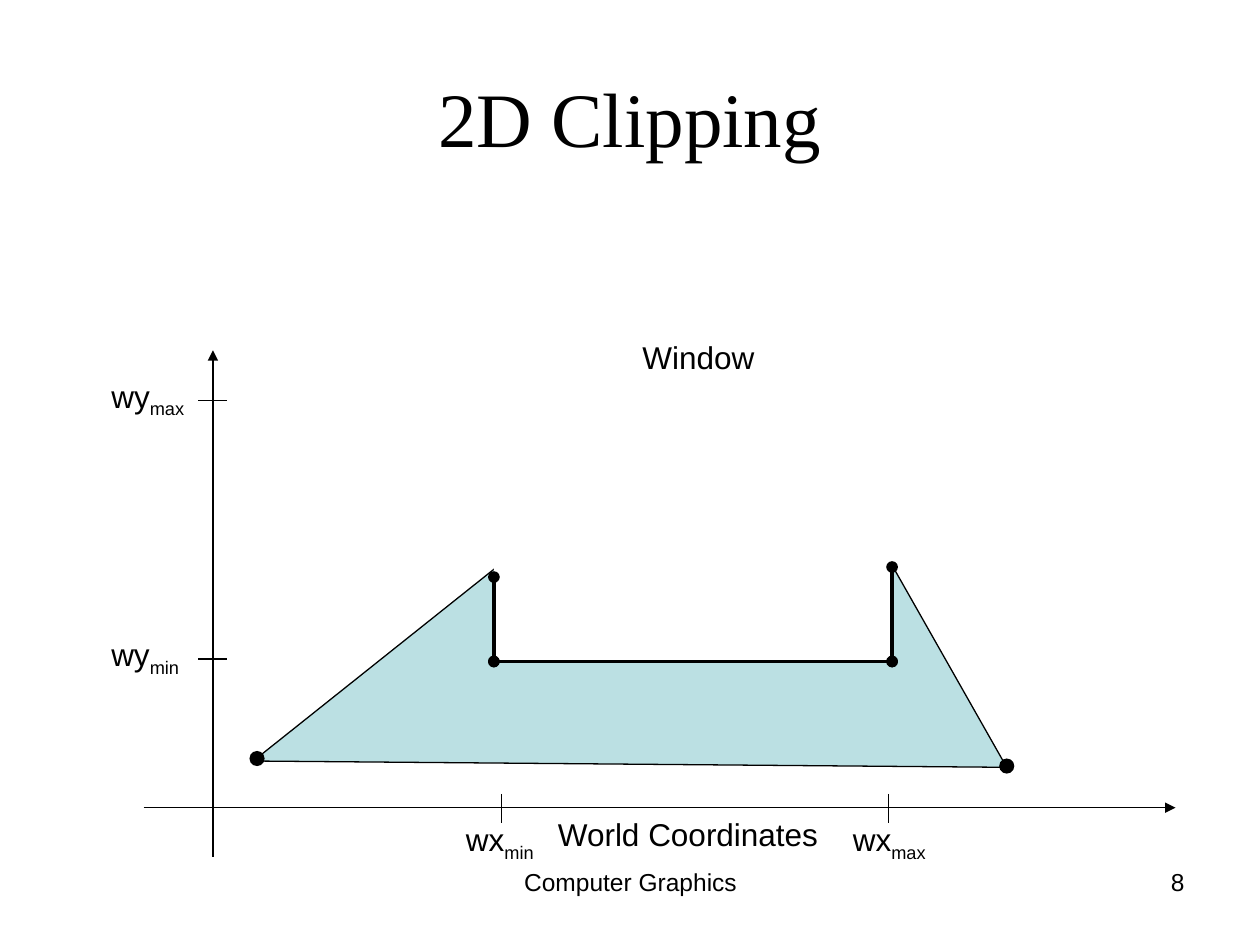
"""Builds the 2D Clipping slide; positions are percentages of the slide's size."""
import pptx
import pptx.util
import pptx.dml.color
import pptx.enum.shapes
import pptx.enum.text
import pptx.oxml.ns
import lxml.etree

THEME = {
    "ink": "000000", "fill": "BBE0E3", "paper": "FFFFFF",
    "sans": "Arial", "serif": "Times New Roman",
    "title": 44, "label": 18, "footer": 14, "thin": 0.75, "thick": 2.25,
}
TITLE = ("2D Clipping", (5, 4, 90, 16.67))
FOOTERS = [
    ("Computer Graphics", (34.2, 91.07, 31.7, 6.93), "CENTER"),
    ("8", (71.7, 91.07, 23.3, 6.93), "RIGHT"),
]
CAPTIONS = [
    ("Window", (50, 35.07, 10.9, 5.33)),
    ("World Coordinates", (43.3, 85.6, 22.7, 5.33)),
]
POLYGON = [(20.1, 80.53), (44.7, 54.4), (49.4, 64), (52.9, 49.6),
           (58.8, 57.87), (64.7, 45.47), (79.9, 81.2)]
AXES = [((11.4, 85.47), (93.3, 85.47)), ((16.9, 90.67), (16.9, 37.07))]
Y_TICKS = [("max", 42.4), ("min", 69.73)]
X_TICKS = [("min", 39.8), ("max", 70.5)]
LABEL_WIDTH = {"max": 7.8, "min": 7.4}
VERTICES = [(20.4, 80.27), (79.9, 81.07)]
DOT = pptx.util.Inches(0.12)
WINDOW = (39.2, 42.27, 31.7, 27.73)
CLIPPED_EDGES = [((39.2, 61.07), (39.2, 70)), ((70.8, 60), (70.8, 70)),
                 ((39.2, 70), (70.8, 70))]

SHAPES = pptx.enum.shapes.MSO_SHAPE
ALIGN = pptx.enum.text.PP_ALIGN
prs = pptx.Presentation()
prs.slide_width, prs.slide_height = pptx.util.Inches(10), pptx.util.Inches(7.5)
s = prs.slides.add_slide(prs.slide_layouts[5])


def emu(*values):
    sizes = (prs.slide_width, prs.slide_height)
    return [round(v * sizes[i % 2] / 100) for i, v in enumerate(values)]


def rgb(name):
    return pptx.dml.color.RGBColor.from_string(THEME[name])


def write(tf, text, size, font="sans", align="LEFT", sub=""):
    p = tf.paragraphs[0]
    p.alignment = ALIGN[align]
    for part, baseline in ((text, None), (sub, "-25000")):
        if part:
            r = p.add_run()
            r.text = part
            values = {"size": pptx.util.Pt(THEME[size]), "name": THEME[font]}
            for key, value in values.items():
                setattr(r.font, key, value)
            r.font.color.rgb = rgb("ink")
            if baseline:
                r._r.get_or_add_rPr().set("baseline", baseline)


def add_text(text, box, size="label", wrap=False, **style):
    tf = s.shapes.add_textbox(*emu(*box)).text_frame
    tf.word_wrap = wrap
    write(tf, text, size, **style)


def add_line(start, end, weight="thin", **ends):
    sp = s.shapes.add_connector(pptx.enum.shapes.MSO_CONNECTOR.STRAIGHT,
                                *emu(*start, *end))
    sp.line.color.rgb = rgb("ink")
    sp.line.width = pptx.util.Pt(THEME[weight])
    ln = sp.line._get_or_add_ln()
    for tag, kind in ends.items():
        lxml.etree.SubElement(ln, pptx.oxml.ns.qn("a:" + tag), type=kind)
    lxml.etree.SubElement(sp._element.spPr, pptx.oxml.ns.qn("a:effectLst"))


def paint(sp, fill, outlined=False):
    sp.shadow.inherit = False
    sp.fill.solid()
    sp.fill.fore_color.rgb = rgb(fill)
    if outlined:
        sp.line.color.rgb = rgb("ink")
        sp.line.width = pptx.util.Pt(THEME["thin"])
    else:
        sp.line.fill.background()


def main():
    title = s.shapes.title
    for key, value in zip(("left", "top", "width", "height"), emu(*TITLE[1])):
        setattr(title, key, value)
    title.text_frame.vertical_anchor = pptx.enum.text.MSO_ANCHOR.MIDDLE
    write(title.text_frame, TITLE[0], "title", font="serif", align="CENTER")
    for text, box, align in FOOTERS:
        add_text(text, box, "footer", wrap=True, align=align)

    points = [emu(*point) for point in POLYGON]
    outline = s.shapes.build_freeform(*points[0])
    outline.add_line_segments(points[1:], close=True)
    paint(outline.convert_to_shape(), "fill", outlined=True)

    for start, end in AXES:
        add_line(start, end, tailEnd="triangle")
    for sub, y in Y_TICKS:
        add_line((18, y), (15.7, y))
        add_text("wy", (7.85, y - 3.2, LABEL_WIDTH[sub], 5.87), sub=sub)
    for sub, x in X_TICKS:
        add_line((x, 84), (x, 87.07))
        add_text("wx", (x - 3.8, 86.13, LABEL_WIDTH[sub], 5.87), sub=sub)
    for text, box in CAPTIONS:
        add_text(text, box)

    for vertex in VERTICES:
        x, y = emu(*vertex)
        paint(s.shapes.add_shape(SHAPES.OVAL, x - DOT // 2, y - DOT // 2, DOT, DOT), "ink")
    paint(s.shapes.add_shape(SHAPES.RECTANGLE, *emu(*WINDOW)), "paper")
    for start, end in CLIPPED_EDGES:
        add_line(start, end, "thick", headEnd="oval", tailEnd="oval")
    prs.save("out.pptx")


if __name__ == "__main__":
    main()
